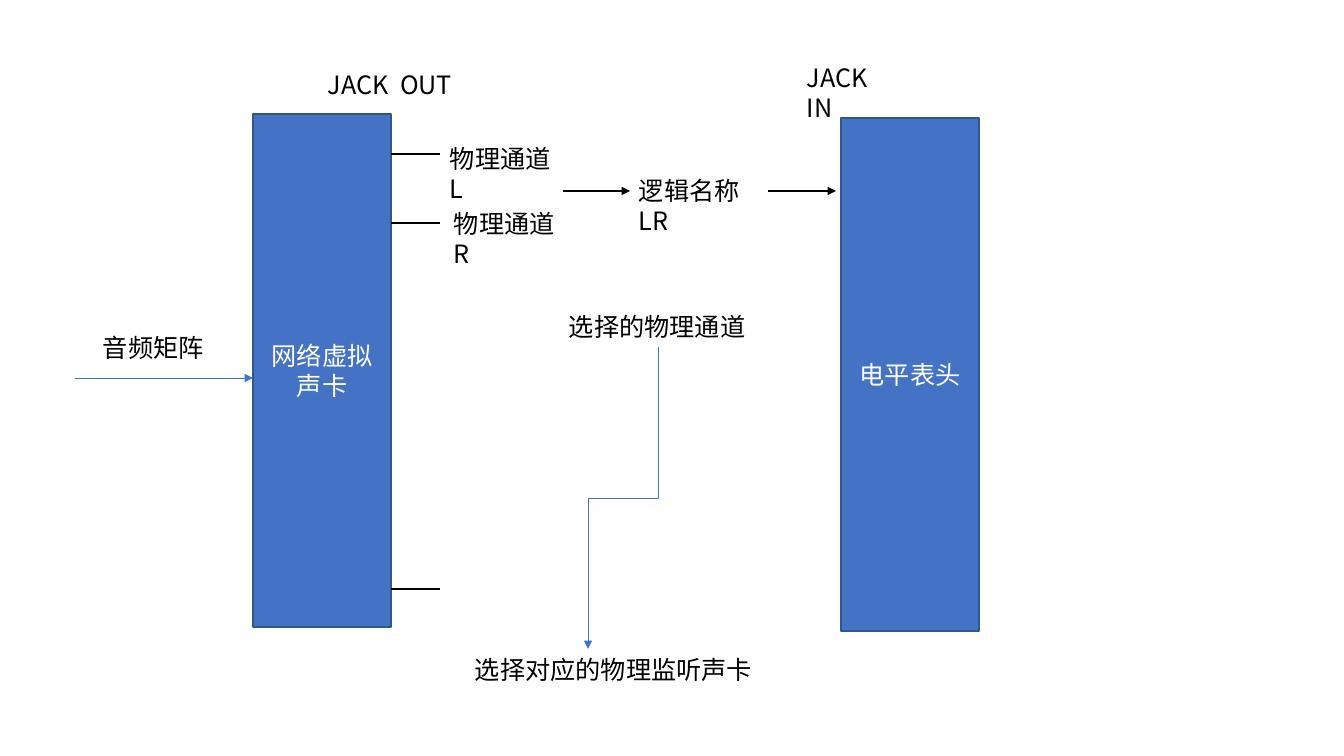
from dataclasses import dataclass

from lxml import etree
from pptx import Presentation
from pptx.dml.color import RGBColor
from pptx.enum.shapes import MSO_CONNECTOR, MSO_SHAPE
from pptx.enum.text import MSO_ANCHOR, PP_ALIGN
from pptx.oxml.ns import qn
from pptx.util import Emu, Pt

STRAIGHT, ELBOW = MSO_CONNECTOR.STRAIGHT, MSO_CONNECTOR.ELBOW
RECTANGLE = MSO_SHAPE.RECTANGLE
MIDDLE, TOP = MSO_ANCHOR.MIDDLE, MSO_ANCHOR.TOP
LEFT, CENTER = PP_ALIGN.LEFT, PP_ALIGN.CENTER

BLACK = RGBColor(0x00, 0x00, 0x00)
WHITE = RGBColor(0xFF, 0xFF, 0xFF)
BLUE = RGBColor(0x44, 0x72, 0xC4)
DARK_BLUE = RGBColor(0x32, 0x54, 0x91)

FONT = "Noto Sans CJK SC"
FONT_SIZE = Pt(18)
EMU_PER_PIXEL = 914400 / 100.8
LABEL_HEIGHT = 40
DEVICE_WIDTH, DEVICE_HEIGHT = 138, 513


@dataclass
class Device:
    left: int
    top: int
    lines: list[str]


@dataclass
class Label:
    left: int
    top: int
    width: int
    text: str


@dataclass
class Link:
    start: tuple[int, int]
    end: tuple[int, int]
    color: RGBColor = BLACK
    weight: float = 2
    arrow: bool = True


def px(pixels: float) -> Emu:
    return Emu(round(pixels * EMU_PER_PIXEL))


def write(frame, lines: list[str], color: RGBColor, align, anchor) -> None:
    frame.word_wrap = True
    frame.vertical_anchor = anchor
    for index, line in enumerate(lines):
        para = frame.paragraphs[0] if index == 0 else frame.add_paragraph()
        para.alignment = align
        span = para.add_run()
        span.text = line
        span.font.name = FONT
        span.font.size = FONT_SIZE
        span.font.color.rgb = color
        etree.SubElement(span.font._element, qn("a:ea"), typeface=FONT)


def draw_device(page, device: Device) -> None:
    box = page.shapes.add_shape(RECTANGLE, px(device.left), px(device.top),
                                px(DEVICE_WIDTH), px(DEVICE_HEIGHT))
    box.shadow.inherit = False
    box.fill.solid()
    box.fill.fore_color.rgb = BLUE
    box.line.color.rgb = DARK_BLUE
    box.line.width = Pt(1)
    write(box.text_frame, device.lines, WHITE, CENTER, MIDDLE)


def draw_label(page, label: Label) -> None:
    box = page.shapes.add_textbox(px(label.left), px(label.top),
                                  px(label.width), px(LABEL_HEIGHT))
    write(box.text_frame, [label.text], BLACK, LEFT, TOP)


def draw_link(page, link: Link) -> None:
    (x1, y1), (x2, y2) = link.start, link.end
    bent = x1 != x2 and y1 != y2
    if bent:
        # A quarter turn about the centre makes the elbow leave downwards
        mid_x, mid_y = (x1 + x2) / 2, (y1 + y2) / 2
        half_run, half_shift = (y2 - y1) / 2, (x1 - x2) / 2
        x1, x2 = mid_x - half_run, mid_x + half_run
        y1, y2 = mid_y - half_shift, mid_y + half_shift
    line = page.shapes.add_connector(ELBOW if bent else STRAIGHT,
                                     px(x1), px(y1), px(x2), px(y2))
    if bent:
        line._element.spPr.find(qn("a:xfrm")).set("rot", "5400000")
    line.line.color.rgb = link.color
    line.line.width = Pt(link.weight)
    if link.arrow:
        etree.SubElement(line.line._get_or_add_ln(), qn("a:tailEnd"), type="triangle")
    etree.SubElement(line._element.spPr, qn("a:effectLst"))


DEVICES = [
    Device(253, 114, ["网络虚拟", "声卡"]),
    Device(841, 118, ["电平表头"]),
]
PORT_ROWS = [154, 223, 589]
LINKS = [Link((391, row), (440, row), arrow=False) for row in PORT_ROWS] + [
    Link((563, 191), (630, 191)),
    Link((768, 191), (836, 191)),
    Link((658, 347), (588, 649), BLUE, 0.5),
    Link((75, 378), (253, 378), BLUE, 0.5),
]
LABELS = [
    Label(440, 138, 128, "物理通道L"),
    Label(444, 203, 128, "物理通道R"),
    Label(629, 170, 140, "逻辑名称LR"),
    Label(318, 64, 150, "JACK  OUT"),
    Label(797, 57, 100, "JACK  IN"),
    Label(559, 306, 204, "选择的物理通道"),
    Label(465, 649, 306, "选择对应的物理监听声卡"),
    Label(93, 327, 124, "音频矩阵"),
]

deck = Presentation()
deck.slide_width, deck.slide_height = px(1344), px(756)
page = deck.slides.add_slide(deck.slide_layouts[6])

# Sound card and level meter
for device in DEVICES:
    draw_device(page, device)

# Ports and signal flow
for link in LINKS:
    draw_link(page, link)

# Captions
for label in LABELS:
    draw_label(page, label)

deck.save("out.pptx")
